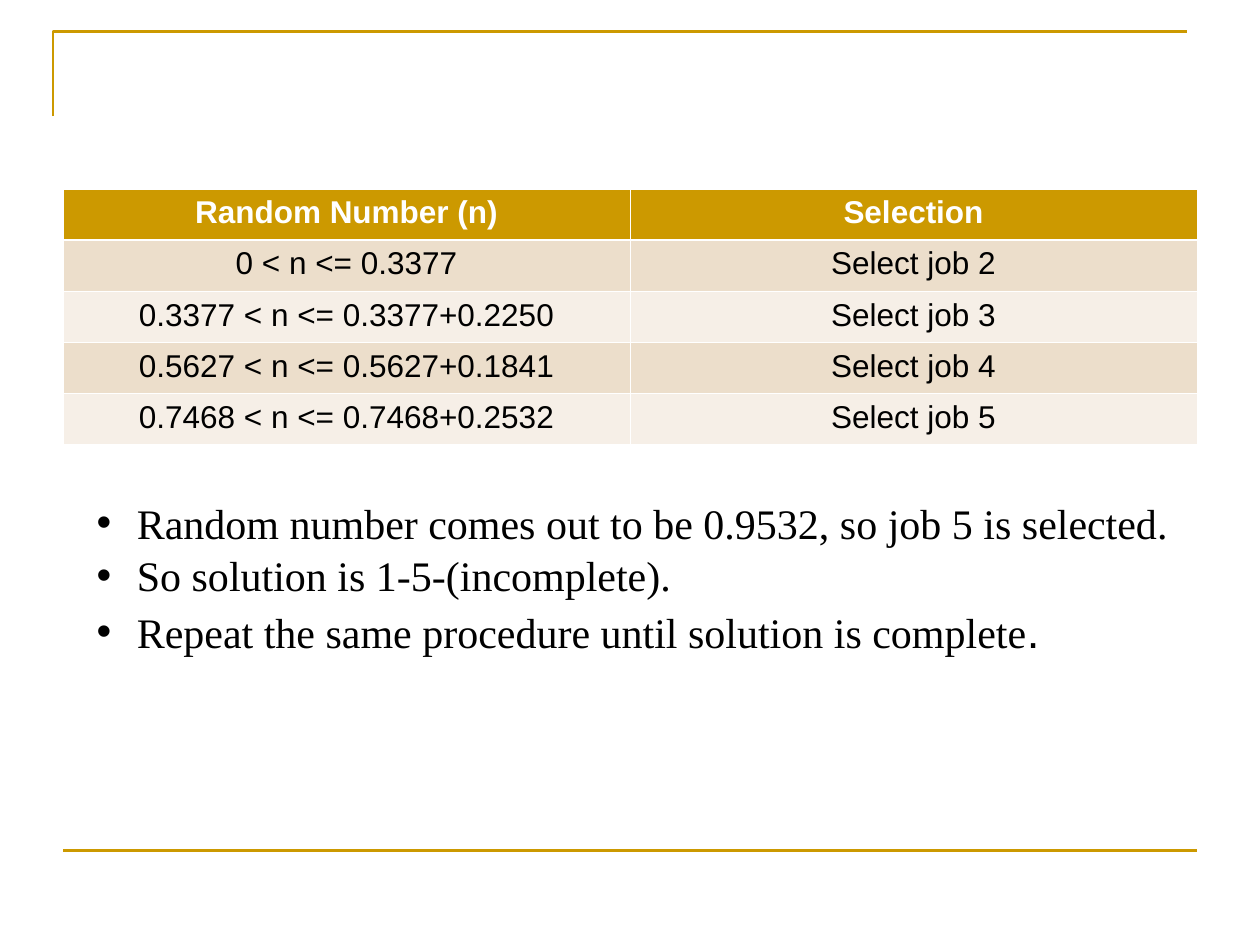
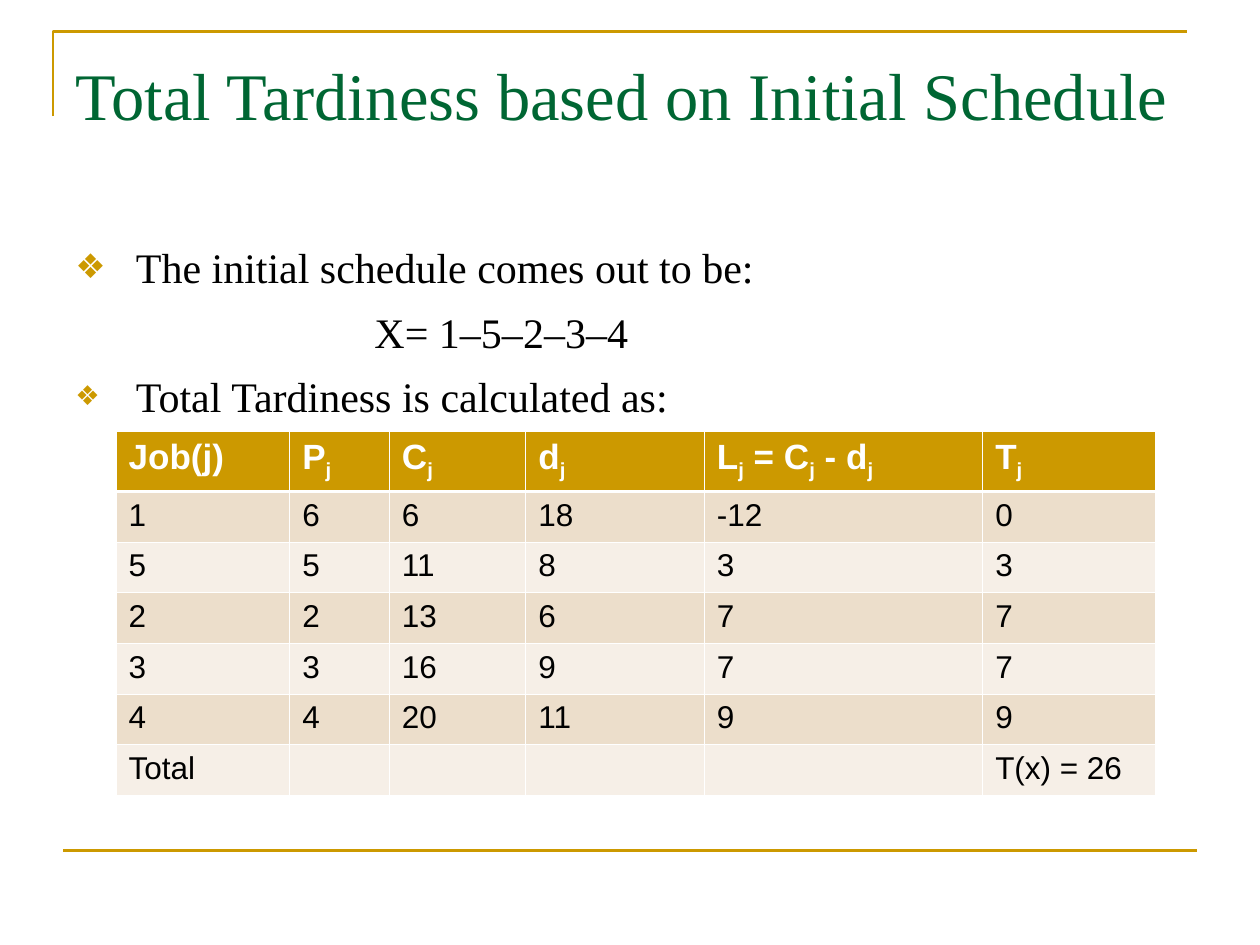
"""Build two slides on job selection and total tardiness."""
import lxml.etree
import pptx
import pptx.dml.color
import pptx.enum.shapes
import pptx.enum.text
import pptx.oxml.ns
import pptx.util

Cm = pptx.util.Cm
Pt = pptx.util.Pt

COLORS = {
    "gold": "CC9900",
    "green": "006633",
    "black": "000000",
    "white": "FFFFFF",
    "band_dark": "ECDECB",
    "band_light": "F6EFE7",
}
SERIF = "Times New Roman"
SANS = "Arial"
THIN, THICK = 0.45, 1.47

SELECTIONS = [
    ("Random Number (n)", "Selection"),
    ("0 < n <= 0.3377", "Select job 2"),
    ("0.3377 < n <= 0.3377+0.2250", "Select job 3"),
    ("0.5627 < n <= 0.5627+0.1841", "Select job 4"),
    ("0.7468 < n <= 0.7468+0.2532", "Select job 5"),
]
TARDINESS = [
    ("Job(j)", "P_j", "C_j", "d_j", "L_j_ = C_j_ - d_j", "T_j"),
    ("1", "6", "6", "18", "-12", "0"),
    ("5", "5", "11", "8", "3", "3"),
    ("2", "2", "13", "6", "7", "7"),
    ("3", "3", "16", "9", "7", "7"),
    ("4", "4", "20", "11", "9", "9"),
    ("Total", "", "", "", "", "T(x) = 26"),
]


def rgb(name):
    """Return a named colour of the palette."""
    return pptx.dml.color.RGBColor.from_string(COLORS[name])


def add_child(parent, tag, **attributes):
    """Append a DrawingML element and return it."""
    child = lxml.etree.SubElement(parent, pptx.oxml.ns.qn(tag))
    for key, value in attributes.items():
        child.set(key, str(value))
    return child


def set_font(font, face, size, color, bold=False):
    """Set face, size, colour and weight of a font."""
    font.name = face
    font.size = Pt(size)
    font.bold = bold
    font.color.rgb = rgb(color)


def add_frame(page):
    """Draw the gold corner and the gold footer line."""
    builder = page.shapes.build_freeform(Cm(1.07), Cm(2.34), scale=1.0)
    builder.add_line_segments(
        [(Cm(1.07), Cm(0.64)), (Cm(23.93), Cm(0.64))], close=False)
    corner = builder.convert_to_shape()
    corner.shadow.inherit = False
    corner.fill.background()
    footer = page.shapes.add_connector(
        pptx.enum.shapes.MSO_CONNECTOR.STRAIGHT,
        Cm(1.27), Cm(17.15), Cm(24.13), Cm(17.15))
    add_child(footer._element.spPr, "a:effectLst")
    for shape in (corner, footer):
        shape.line.color.rgb = rgb("gold")
        shape.line.width = Pt(1.5)


def add_page(deck):
    """Add a blank slide with the shared frame."""
    page = deck.slides.add_slide(deck.slide_layouts[6])
    add_frame(page)
    return page


def add_box(page, left, top, width, height):
    """Add a wrapping text box and return its text frame."""
    box = page.shapes.add_textbox(Cm(left), Cm(top), Cm(width), Cm(height))
    box.text_frame.word_wrap = True
    return box.text_frame


def add_title(page, text):
    """Add the green slide title."""
    para = add_box(page, 1.27, 0.97, 22.86, 3.18).paragraphs[0]
    para.text = text
    set_font(para.font, SERIF, 38, "green")


def add_bullet(para, mark, color, percent, hanging):
    """Give a paragraph a bullet with a hanging indent."""
    properties = para._p.get_or_add_pPr()
    properties.set("marL", str(Cm(hanging)))
    properties.set("indent", str(-Cm(hanging)))
    tint = add_child(properties, "a:buClr")
    add_child(tint, "a:srgbClr", val=COLORS[color])
    add_child(properties, "a:buSzPct", val=percent * 1000)
    add_child(properties, "a:buFont", typeface=SANS)
    add_child(properties, "a:buChar", char=mark)


def add_para(frame, text, space_before=0):
    """Add a body paragraph, using the empty first one when there is one."""
    para = frame.paragraphs[0]
    if para.runs:
        para = frame.add_paragraph()
        para.space_before = Pt(space_before)
    para.add_run().text = text
    return para


def set_borders(cell, top, bottom):
    """Draw white borders around a cell."""
    properties = cell._tc.get_or_add_tcPr()
    sides = {"a:lnL": THIN, "a:lnR": THIN, "a:lnT": top, "a:lnB": bottom}
    for tag, width in sides.items():
        line = add_child(properties, tag, w=Pt(width))
        fill = add_child(line, "a:solidFill")
        add_child(fill, "a:srgbClr", val=COLORS["white"])


def fill_cell(cell, text, row, align, header_size):
    """Write and style one cell; underscores switch subscript on and off."""
    header = row == 0
    set_borders(cell, THICK if row == 1 else THIN, THICK if header else THIN)
    band = "band_dark" if row % 2 else "band_light"
    cell.fill.solid()
    cell.fill.fore_color.rgb = rgb("gold" if header else band)
    para = cell.text_frame.paragraphs[0]
    para.alignment = align
    for index, part in enumerate(text.split("_") if text else []):
        span = para.add_run()
        span.text = part
        if index % 2:
            span.font._element.set("baseline", "-25000")
    set_font(para.font, SANS, header_size if header else 18,
             "white" if header else "black", header)


def add_grid(page, rows, left, top, widths, heights, align, header_size=18):
    """Add a banded table; heights are those of header and body rows."""
    header_height, body_height = heights
    total = header_height + body_height * (len(rows) - 1)
    grid = page.shapes.add_table(
        len(rows), len(widths), Cm(left), Cm(top),
        Cm(sum(widths)), Cm(total)).table
    for column, width in zip(grid.columns, widths):
        column.width = Cm(width)
    for row, texts in enumerate(rows):
        grid.rows[row].height = Cm(body_height if row else header_height)
        for column, text in enumerate(texts):
            fill_cell(grid.cell(row, column), text, row, align, header_size)


def add_selection_page(deck):
    """Show which job each random number selects."""
    page = add_page(deck)
    add_grid(page, SELECTIONS, 1.27, 3.81, [11.43] * 2, (1.03, 1.03),
             pptx.enum.text.PP_ALIGN.CENTER)
    frame = add_box(page, 1.7, 9.9, 22.23, 3.48)
    notes = [
        ("Random number comes out to be 0.9532, so job 5 is selected.", 0),
        ("So solution is 1-5-(incomplete).", 1),
        ("Repeat the same procedure until solution is complete", 2),
    ]
    for text, space in notes:
        para = add_para(frame, text, space)
        add_bullet(para, "•", "black", 100, 0.81)
        set_font(para.font, SERIF, 24, "black")
    stop = para.add_run()
    stop.text = "."
    set_font(stop.font, SANS, 26, "black")


def add_tardiness_page(deck):
    """Show the initial schedule and its total tardiness."""
    page = add_page(deck)
    add_title(page, "Total Tardiness based on Initial Schedule")
    frame = add_box(page, 1.27, 4.75, 22.86, 3.8)
    steps = [
        ("The initial schedule comes out to be:", 81),
        ("X= 1–5–2–3–4", None),
        ("Total Tardiness is calculated as:", 65),
    ]
    for text, percent in steps:
        para = add_para(frame, text, 8)
        if percent:
            add_bullet(para, "❖", "gold", percent, 1.22)
        else:
            para._p.get_or_add_pPr().set("marL", str(Cm(6.03)))
        set_font(para.font, SERIF, 24, "black")
    add_grid(page, TARDINESS, 2.34, 8.69, [3.5, 2.01, 2.75, 3.6, 5.61, 3.48],
             (1.21, 1.02), pptx.enum.text.PP_ALIGN.LEFT, header_size=20)


def main():
    """Build and save the deck."""
    deck = pptx.Presentation()
    deck.slide_width = Cm(25.4)
    deck.slide_height = Cm(19.05)
    add_selection_page(deck)
    add_tardiness_page(deck)
    deck.save("out.pptx")


if __name__ == "__main__":
    main()
